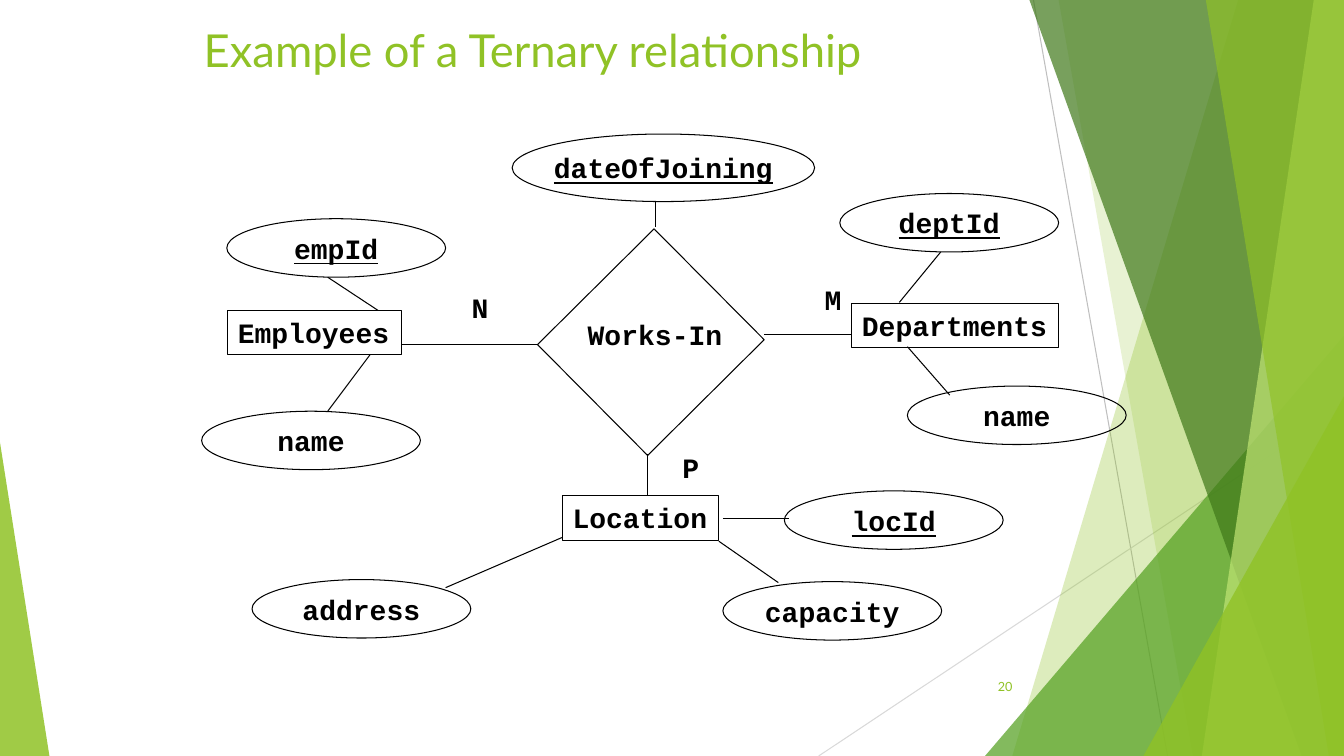
from dataclasses import dataclass
from typing import NamedTuple

from lxml.etree import SubElement
from pptx import Presentation
from pptx.dml.color import RGBColor as Rgb
from pptx.enum.shapes import MSO_CONNECTOR as Link, MSO_SHAPE as Kind
from pptx.enum.text import MSO_ANCHOR as Anchor, PP_ALIGN as Align
from pptx.oxml.ns import qn
from pptx.util import Inches, Pt


@dataclass(frozen=True)
class Theme:
    lime: str = "90C226"
    leaf: str = "54A021"
    moss: str = "3F7819"
    pale: str = "C0E474"
    ink: str = "000000"
    head: str = "Lato"
    mono: str = "Courier New"
    title: float = 32.4
    body: float = 20
    small: float = 9
    rule: float = 0.75


class Band(NamedTuple):
    top: float
    base: float
    color: str
    alpha: int


class Peak(NamedTuple):
    x: float
    y: float
    w: float
    tip: float
    color: str
    alpha: int


class Line(NamedTuple):
    x1: float
    y1: float
    x2: float
    y2: float
    color: str = Theme.ink


class Label(NamedTuple):
    text: str
    x: float
    y: float
    w: float = 0.37
    h: float = 0.44


class Oval(NamedTuple):
    text: str
    x: float
    y: float
    key: bool = False
    w: float = 2.17
    h: float = 0.58


look = Theme()
WIDE, HIGH = 13.33, 7.5

RAYS = [
    Line(10.25, 0, 11.58, HIGH, "BFBFBF"),
    Line(WIDE, 4.03, 8.12, HIGH, "D9D9D9"),
]
FACETS = [
    Band(12.28, 10.04, look.lime, 30),
    Band(10.5, 11.83, look.lime, 20),
    Peak(9.77, 3.33, 3.56, 1, look.leaf, 72),
    Band(10.21, 12.91, look.moss, 70),
    Band(13.03, 11.92, look.pale, 70),
    Band(11.96, 13.18, look.lime, 65),
    Peak(11.34, 3.93, 1.99, 1, look.lime, 80),
    Peak(0, 4.39, 0.49, 0, look.lime, 85),
]
ENTITIES = [
    Label("Employees", 2.26, 3.08, 1.72),
    Label("Departments", 8.45, 3.01, 2.05),
    Label("Location", 5.58, 4.92, 1.55),
]
OVALS = [
    Oval("dateOfJoining", 5.08, 1.33, True, 3, 0.67),
    Oval("empId", 2.25, 2.17, True),
    Oval("name", 2, 4.08),
    Oval("deptId", 8.33, 1.92, True),
    Oval("name", 9, 3.83),
    Oval("locId", 7.78, 4.87, True),
    Oval("address", 2.5, 5.75),
    Oval("capacity", 7.17, 5.77),
]
LABELS = [
    Label("Works-In", 5.73, 3.1, 1.55),
    Label("N", 4.58, 2.83),
    Label("M", 8.08, 2.75),
    Label("P", 6.67, 4.42),
]
LINKS = [
    Line(3.98, 3.42, 5.33, 3.42),
    Line(7.58, 3.32, 8.45, 3.32),
    Line(6.42, 4.92, 6.42, 4.5),
    Line(6.5, 2.25, 6.5, 2),
    Line(3.75, 3.08, 3.25, 2.75),
    Line(3.67, 3.52, 3.25, 4.08),
    Line(8.92, 3, 9.33, 2.5),
    Line(9, 3.44, 9.42, 3.92),
    Line(7.17, 5.14, 7.83, 5.14),
    Line(5.58, 5.33, 4.42, 5.83),
    Line(7.13, 5.37, 7.72, 5.78),
]

deck = Presentation()
deck.slide_width, deck.slide_height = Inches(WIDE), Inches(HIGH)
slide = deck.slides.add_slide(deck.slide_layouts[5])
shapes = slide.shapes


def box(*sides: float) -> list:
    return [Inches(side) for side in sides]


def write(shape, text: str, font: str, size: float, color: str,
          align=Align.LEFT, anchor=Anchor.TOP, bold=False, under=False) -> None:
    frame = shape.text_frame
    frame.text = text
    frame.vertical_anchor = anchor
    para = frame.paragraphs[0]
    para.alignment = align
    face = para.runs[0].font
    face.name, face.size = font, Pt(size)
    face.bold, face.underline = bold, under
    face.color.rgb = Rgb.from_string(color)


def term(shape, text: str, **style) -> None:
    shape.text_frame.word_wrap = False
    write(shape, text, look.mono, look.body, look.ink, bold=True, **style)


def tint(shape, color: str, alpha: int) -> None:
    shape.shadow.inherit = False
    shape.line.fill.background()
    shape.fill.solid()
    shape.fill.fore_color.rgb = Rgb.from_string(color)
    tone = shape.fill._xPr.find(f".//{qn('a:srgbClr')}")
    SubElement(tone, qn("a:alpha"), val=str(alpha * 1000))


def frame(kind: Kind, *sides: float):
    shape = shapes.add_shape(kind, *box(*sides))
    shape.shadow.inherit = False
    shape.fill.background()
    shape.line.color.rgb = Rgb.from_string(look.ink)
    shape.line.width = Pt(look.rule)
    return shape


def join(line: Line) -> None:
    ends = box(line.x1, line.y1, line.x2, line.y2)
    wire = shapes.add_connector(Link.STRAIGHT, *ends)
    wire.line.color.rgb = Rgb.from_string(line.color)
    wire.line.width = Pt(look.rule)
    SubElement(wire.element.spPr, qn("a:effectLst"))


def facet(part: Band | Peak) -> None:
    if isinstance(part, Band):
        pen = shapes.build_freeform(Inches(part.top), 0)
        ends = [(WIDE, 0), (WIDE, HIGH), (part.base, HIGH)]
        pen.add_line_segments([box(*end) for end in ends])
        shape = pen.convert_to_shape()
    else:
        sides = box(part.x, part.y, part.w, HIGH - part.y)
        shape = shapes.add_shape(Kind.ISOSCELES_TRIANGLE, *sides)
        shape.adjustments[0] = part.tip
    tint(shape, part.color, part.alpha)


for ray in RAYS:
    join(ray)
for part in FACETS:
    facet(part)

title = shapes.title
title.left, title.top, title.width, title.height = box(1.92, 0.17, 9.17, 0.67)
write(title, "Example of a Ternary relationship", look.head, look.title, look.lime)
title.element.getparent().append(title.element)

page = shapes.add_textbox(*box(9.39, 6.61, 0.75, 0.4))
page.text_frame.word_wrap = True
write(page, "20", look.head, look.small, look.lime, Align.RIGHT, Anchor.MIDDLE)

works = frame(Kind.RECTANGLE, 5.68, 2.58, 1.55, 1.63)
works.rotation = 45.2
for item in ENTITIES:
    term(frame(Kind.RECTANGLE, *item[1:]), item.text)
for oval in OVALS:
    shape = frame(Kind.OVAL, oval.x, oval.y, oval.w, oval.h)
    term(shape, oval.text, align=Align.CENTER, anchor=Anchor.MIDDLE, under=oval.key)
for item in LABELS:
    term(shapes.add_textbox(*box(*item[1:])), item.text)
for link in LINKS:
    join(link)

deck.save("out.pptx")
